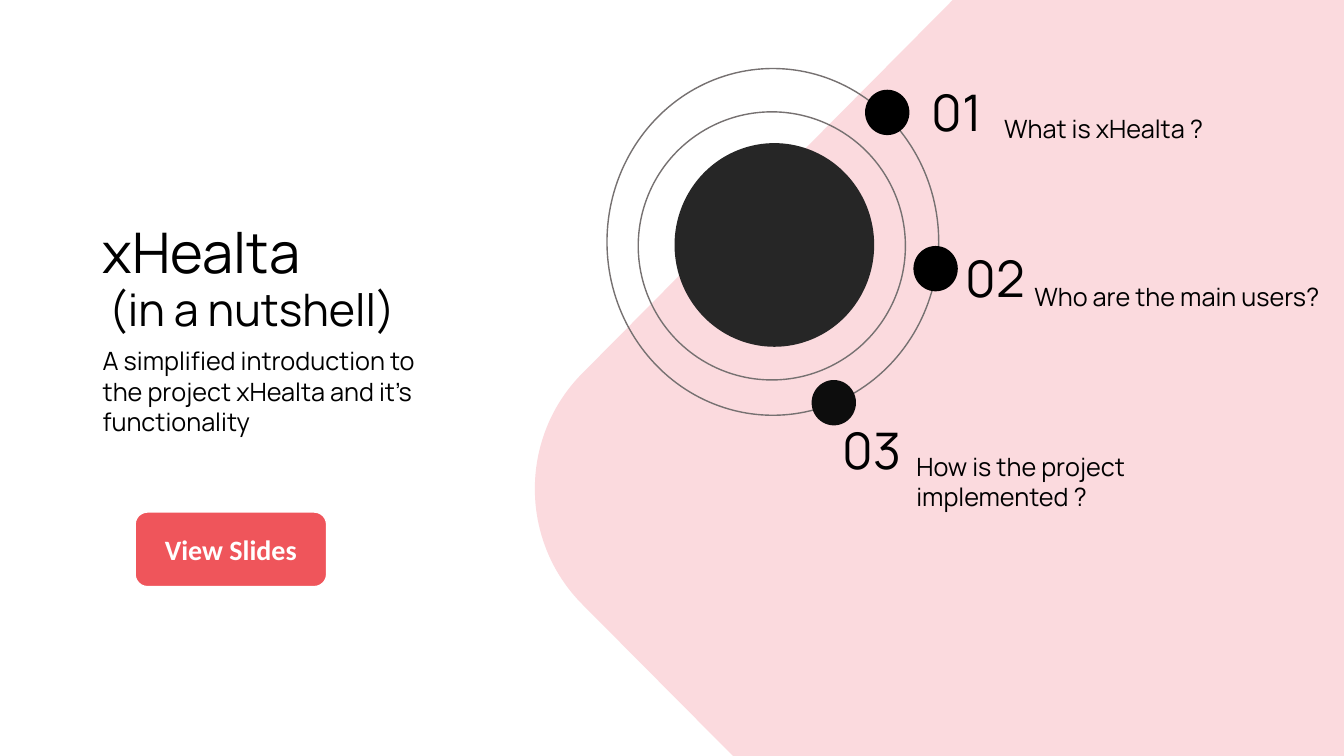
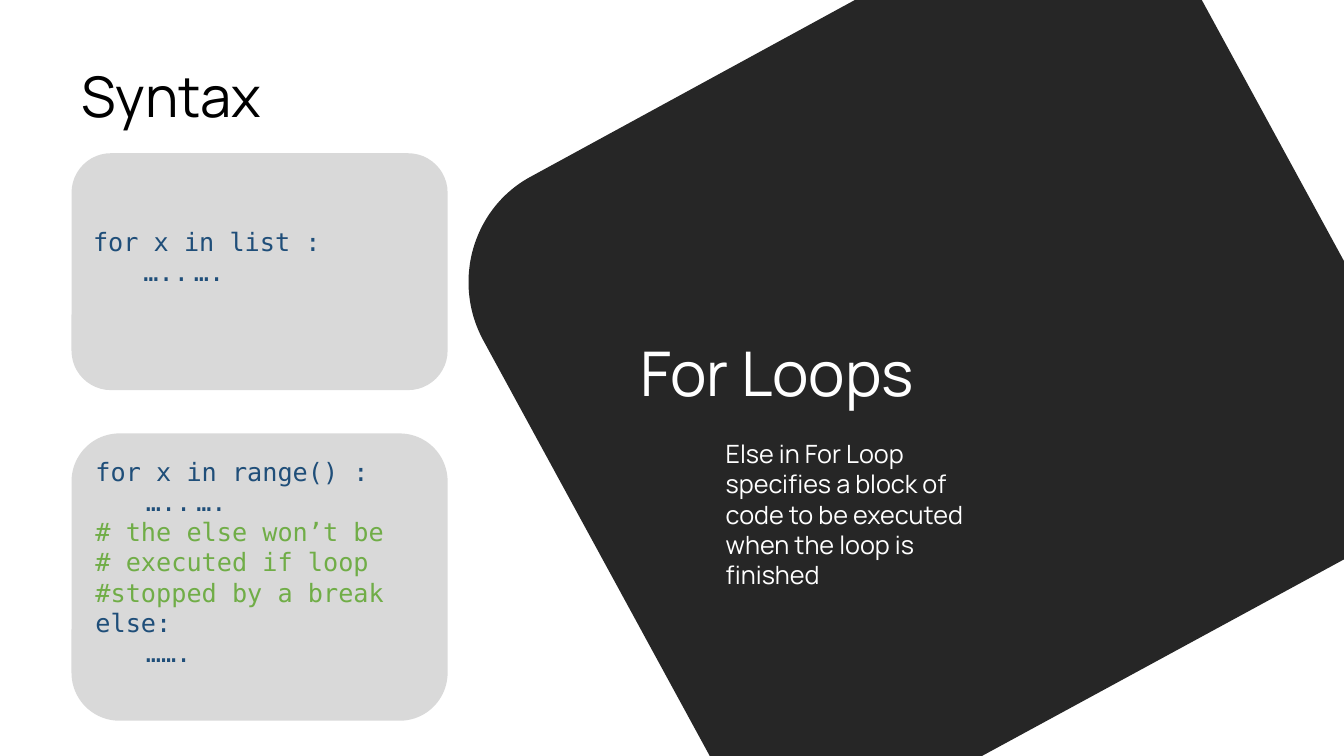
from dataclasses import dataclass

from pptx import Presentation
from pptx.dml.color import RGBColor
from pptx.enum.shapes import MSO_SHAPE
from pptx.enum.text import MSO_ANCHOR, MSO_AUTO_SIZE, PP_ALIGN
from pptx.util import Pt

PX = 9144  # EMU in one px, 100 px to the inch
SLIDE_W, SLIDE_H = 1333, 750
TITLE_ONLY = 5
CURVE_STEPS = 48

OVAL, ROUNDED = MSO_SHAPE.OVAL, MSO_SHAPE.ROUNDED_RECTANGLE
TOP, MIDDLE = MSO_ANCHOR.TOP, MSO_ANCHOR.MIDDLE
LEFT, CENTER = PP_ALIGN.LEFT, PP_ALIGN.CENTER
FIXED_SIZE = MSO_AUTO_SIZE.NONE


@dataclass(frozen=True)
class Theme:
    font: str = "Manrope"
    code_font: str = "DejaVu Sans Mono"
    button_font: str = "Calibri"
    black: str = "000000"
    white: str = "FFFFFF"
    dark: str = "262626"
    soft_black: str = "0D0D0D"
    pink: str = "FBDADE"
    red: str = "EF555B"
    ring: str = "767171"
    panel: str = "D9D9D9"
    code: str = "1F4E79"
    comment: str = "70AD47"
    headline: int = 44
    title: int = 40
    number: int = 36
    subtitle: int = 32
    button: int = 20
    body: int = 18


THEME = Theme()


# Shared helpers
def emu(*lengths):
    return [round(length * PX) for length in lengths]


def style(paragraph, size, color, font=THEME.font, bold=False, align=LEFT):
    paragraph.alignment = align
    for run in paragraph.runs:
        run.font.size = Pt(size)
        run.font.name = font
        run.font.bold = bold
        run.font.color.rgb = RGBColor.from_string(color)


def paint(shape, fill=None, line=None):
    shape.shadow.inherit = False
    if fill:
        shape.fill.solid()
        shape.fill.fore_color.rgb = RGBColor.from_string(fill)
    else:
        shape.fill.background()
    if line:
        shape.line.color.rgb = RGBColor.from_string(line)
        shape.line.width = Pt(1)
    else:
        shape.line.fill.background()


def add_preset(slide, preset, box, fill=None, line=None):
    shape = slide.shapes.add_shape(preset, *emu(*box))
    paint(shape, fill, line)
    return shape


def add_text(slide, box, text, size, color=THEME.black):
    frame = slide.shapes.add_textbox(*emu(*box)).text_frame
    frame.word_wrap = True
    frame.text = text
    style(frame.paragraphs[0], size, color)


def set_title(slide, box, text, anchor=TOP, spacing=1.0):
    title = slide.shapes.title
    title.left, title.top, title.width, title.height = emu(*box)
    frame = title.text_frame
    frame.text = text
    frame.auto_size = FIXED_SIZE
    frame.vertical_anchor = anchor
    frame.paragraphs[0].line_spacing = spacing
    frame.paragraphs[0].space_before = Pt(0)
    style(frame.paragraphs[0], THEME.title, THEME.black)


def curve(start, pull_out, pull_in, end):
    """Points along a cubic curve, both ends included."""
    def point(t):
        u = 1 - t
        weights = (u ** 3, 3 * u * u * t, 3 * u * t * t, t ** 3)
        controls = (start, pull_out, pull_in, end)
        return tuple(sum(w * c[axis] for w, c in zip(weights, controls))
                     for axis in (0, 1))
    return [point(step / CURVE_STEPS) for step in range(CURVE_STEPS + 1)]


def add_backdrop(slide, corners, rounded_corner, fill):
    """Large tilted square whose left corner is rounded."""
    first, *rest = [emu(*point) for point in corners + curve(*rounded_corner)]
    builder = slide.shapes.build_freeform(*first, scale=1.0)
    builder.add_line_segments(rest, close=True)
    paint(builder.convert_to_shape(), fill)


# Introduction slide
def add_intro(slide, box):
    x, y, w, h = box
    set_title(slide, (x, y, w, 183), "xHealta", MIDDLE, 0.9)
    add_text(slide, (x + 6, y + 113, 312, 64), "(in a nutshell)", THEME.subtitle)
    add_text(slide, (x, y + 176, 371, 101),
             "A simplified introduction to the project xHealta and it’s functionality",
             THEME.body)
    button = add_preset(slide, ROUNDED, (x + 42, y + h - 74, 190, 74),
                        THEME.red, THEME.white)
    frame = button.text_frame
    frame.text = "View Slides"
    frame.vertical_anchor = MIDDLE
    style(frame.paragraphs[0], THEME.button, THEME.white,
          THEME.button_font, True, CENTER)


def add_orbit(slide, box, topics):
    x, y, w, h = box
    # Core and rings
    add_preset(slide, OVAL, (x + 67, y + 74, 198, 202), THEME.dark)
    add_preset(slide, OVAL, (x + 31, y + 43, 265, 266), line=THEME.ring)
    add_preset(slide, OVAL, (x, y, w, h), line=THEME.ring)
    # Numbered topics
    for index, (topic, dot, number, label, color) in enumerate(topics, 1):
        add_text(slide, (x + number[0], y + number[1], 111, 71),
                 f"{index:02}", THEME.number)
        add_text(slide, (x + label[0], y + label[1], 317, 71), topic, THEME.body)
        add_preset(slide, OVAL, (x + dot[0], y + dot[1], 44, 45), color)


def build_intro_slide(slide):
    add_backdrop(slide,
                 [(945, 0), (SLIDE_W, 0), (SLIDE_W, SLIDE_H), (727, SLIDE_H)],
                 [(577, 599), (515, 536), (515, 434), (577, 371)], THEME.pink)
    add_intro(slide, (92, 162, 449, 420))
    # Offsets of dot, number and label from the outer ring's box
    add_orbit(slide, (602, 68, 329, 344), [
        ("What is xHealta ?", (256, 21), (312, 8), (384, 39), THEME.black),
        ("Who are the main users?", (304, 176), (346, 172), (414, 206), THEME.black),
        ("How is the project implemented ?", (203, 309), (224, 343), (297, 375),
         THEME.soft_black),
    ])


# Syntax slide
def add_code_panel(slide, box, lines):
    frame = add_preset(slide, ROUNDED, box, THEME.panel).text_frame
    frame.word_wrap = True
    frame.vertical_anchor = MIDDLE
    frame.margin_bottom = emu(35)[0]
    frame.text = "\n".join(lines)
    for paragraph in frame.paragraphs:
        color = THEME.comment if paragraph.text.startswith("#") else THEME.code
        style(paragraph, THEME.body, color, THEME.code_font)


def add_topic(slide, box, heading, summary):
    x, y, w, h = box
    add_text(slide, (x, y, w, 84), heading, THEME.headline, THEME.white)
    add_text(slide, (x + 85, y + 103, 257, h - 103), summary,
             THEME.body, THEME.white)


def build_syntax_slide(slide):
    add_backdrop(slide,
                 [(848, 0), (1192, 0), (SLIDE_W, 259), (SLIDE_W, 555),
                  (974, SLIDE_H), (704, SLIDE_H)],
                 [(479, 337), (448, 279), (469, 206), (527, 175)], THEME.dark)
    set_title(slide, (71, 56, 248, 77), "Syntax")
    add_code_panel(slide, (71, 152, 373, 235),
                   ["for x in list :", "\t…..\t…."])
    add_code_panel(slide, (71, 430, 373, 285), [
        "for x in range() :", "\t…..\t….", "# the else won’t be",
        "# executed if loop #stopped by a break", "else:", "\t……."])
    add_topic(slide, (625, 327, 700, 295), "For Loops",
              "Else in For Loop specifies a block of code to be executed "
              "when the loop is finished")


def main():
    deck = Presentation()
    deck.slide_width, deck.slide_height = emu(SLIDE_W, SLIDE_H)
    for build in (build_intro_slide, build_syntax_slide):
        build(deck.slides.add_slide(deck.slide_layouts[TITLE_ONLY]))
    deck.save("out.pptx")


if __name__ == "__main__":
    main()
